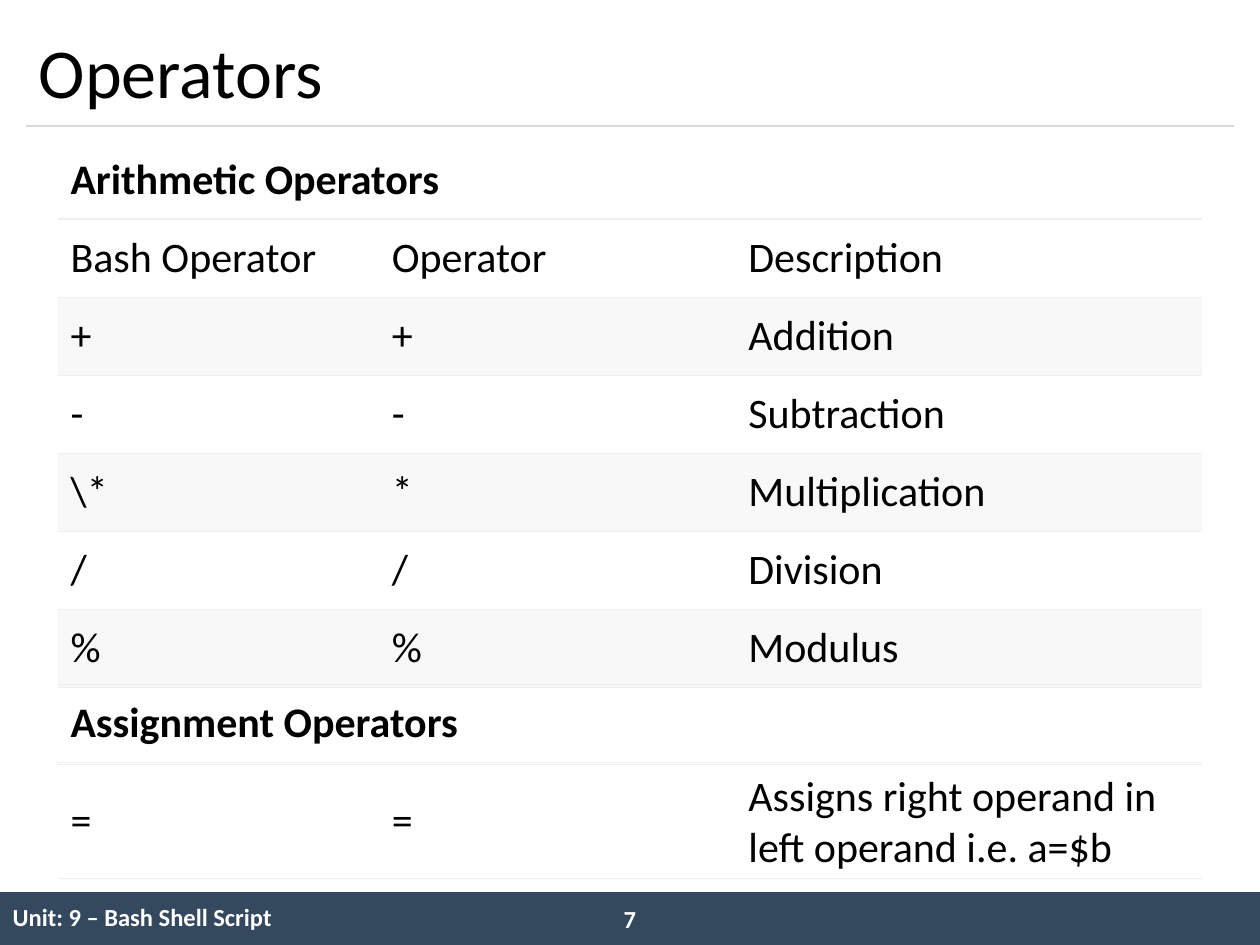
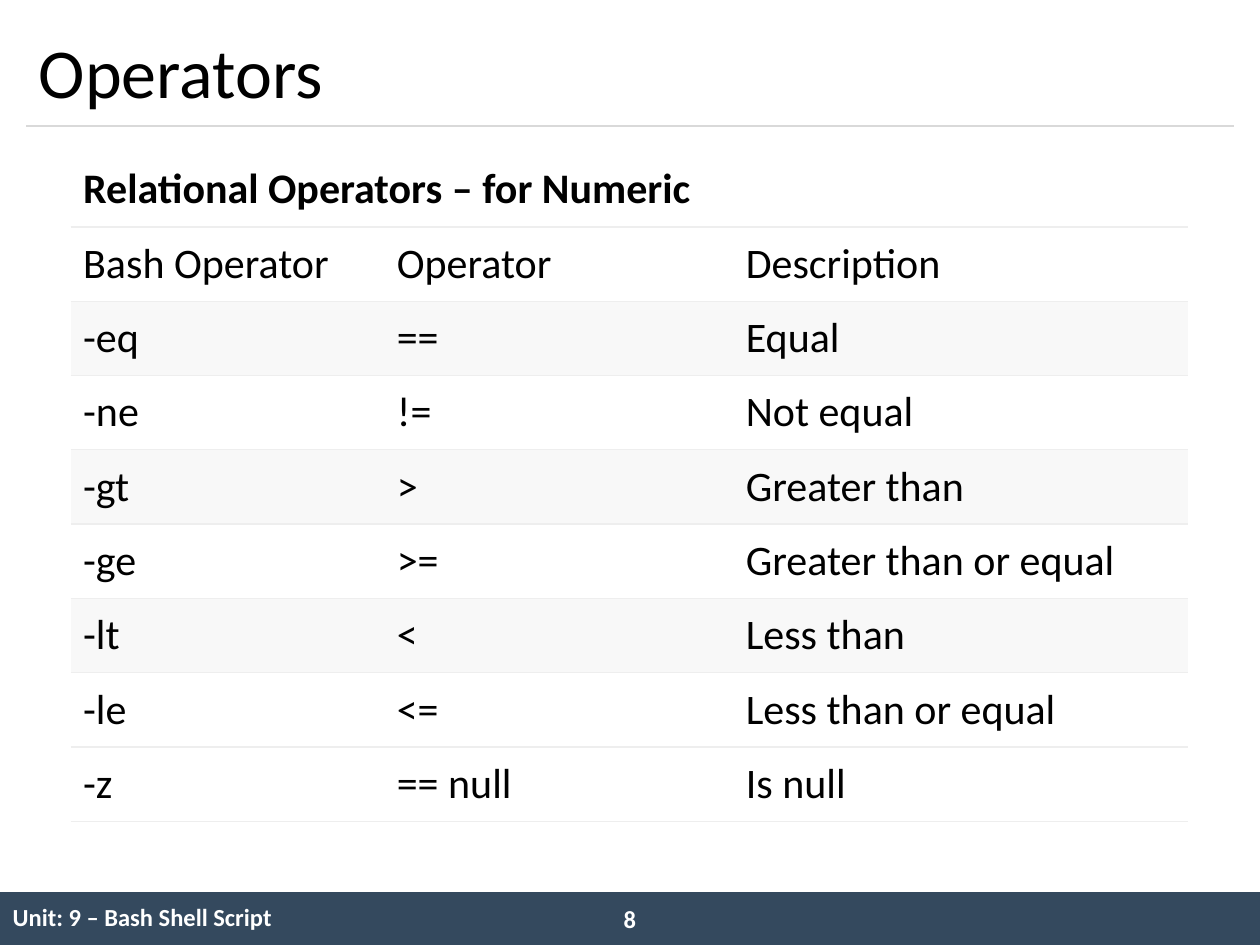
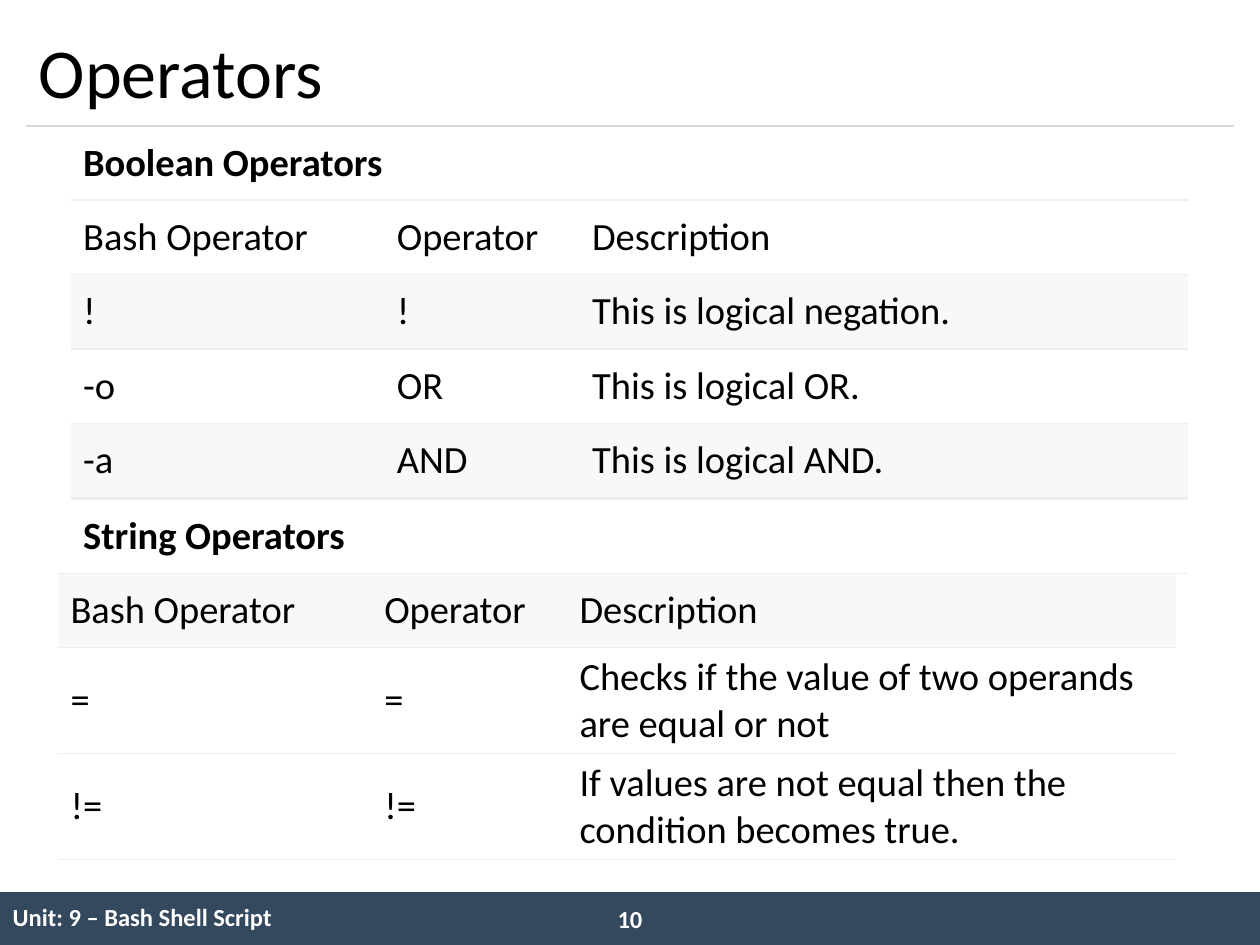
import dataclasses

import lxml.etree
import pptx
import pptx.dml.color
import pptx.enum.shapes
import pptx.enum.text
import pptx.oxml.ns
import pptx.util

Inches, Pt = pptx.util.Inches, pptx.util.Pt
Color = pptx.dml.color.RGBColor.from_string
MIDDLE = pptx.enum.text.MSO_ANCHOR.MIDDLE
CENTER = pptx.enum.text.PP_ALIGN.CENTER
qn = pptx.oxml.ns.qn


@dataclasses.dataclass(frozen=True)
class Theme:
    font: str = "Calibri"
    ink: str = "000000"
    white: str = "FFFFFF"
    bar: str = "34495E"
    rule: str = "D9D9D9"
    edge: str = "EEEEEE"
    band: str = "F8F8F8"
    title: int = 40
    large: int = 24
    body: int = 22
    foot: int = 14
    thin: float = 0.75
    thick: float = 1.5


class Deck:
    def __init__(self, theme):
        self.theme = theme
        self.file = pptx.Presentation()
        self.file.slide_width = Inches(10)
        self.file.slide_height = Inches(7.5)
        self.slide = None

    def page(self, title, number):
        """Start a slide with its footer bar, rule and title."""
        look = self.theme
        self.slide = self.file.slides.add_slide(self.file.slide_layouts[6])
        self.box(0, 7.08, 10, 0.42, look.bar)
        self.table(0, 7.08, [5.08, 0.67, 4.25], [["Unit: 9 – Bash Shell Script", "", ""]],
                   [0.42], look.foot, top=0, low=0, bold=True, color=look.white)
        self.text(4.71, 7.12, 0.58, 0.34, str(number), look.foot, look.white,
                  bold=True, align=CENTER)
        self.line(0.21, 1, 9.79, 1)
        self.text(0.21, 0.12, 9.58, 0.88, title, look.title, look.ink)

    def style(self, para, size, color, bold=False):
        para.font.name = self.theme.font
        para.font.size = Pt(size)
        para.font.bold = bold
        para.font.color.rgb = Color(color)

    def box(self, x, y, wide, high, color):
        kind = pptx.enum.shapes.MSO_SHAPE.RECTANGLE
        shape = self.slide.shapes.add_shape(kind, Inches(x), Inches(y), Inches(wide), Inches(high))
        shape.shadow.inherit = False
        shape.fill.solid()
        shape.fill.fore_color.rgb = Color(color)
        shape.line.fill.background()

    def line(self, x1, y1, x2, y2):
        kind = pptx.enum.shapes.MSO_CONNECTOR.STRAIGHT
        rule = self.slide.shapes.add_connector(kind, Inches(x1), Inches(y1), Inches(x2), Inches(y2))
        rule.line.color.rgb = Color(self.theme.rule)
        rule.line.width = Pt(self.theme.thin)
        lxml.etree.SubElement(rule._element.spPr, qn("a:effectLst"))

    def text(self, x, y, wide, high, words, size, color, bold=False, align=None):
        shape = self.slide.shapes.add_textbox(Inches(x), Inches(y), Inches(wide), Inches(high))
        frame = shape.text_frame
        frame.word_wrap = True
        frame.vertical_anchor = MIDDLE
        para = frame.paragraphs[0]
        para.text = words
        para.alignment = align
        self.style(para, size, color, bold)

    def border(self, cell, side, width):
        """Draw one cell edge; a width of 0 leaves it bare."""
        edge = lxml.etree.SubElement(cell._tc.get_or_add_tcPr(), qn("a:ln" + side))
        if not width:
            lxml.etree.SubElement(edge, qn("a:noFill"))
            return
        edge.set("w", str(Pt(width)))
        fill = lxml.etree.SubElement(edge, qn("a:solidFill"))
        lxml.etree.SubElement(fill, qn("a:srgbClr"), val=self.theme.edge)

    def table(self, x, y, cols, rows, highs, size, top=None, low=None,
              shade=(), bold=False, color=None):
        look = self.theme
        top = look.thin if top is None else top
        low = look.thin if low is None else low
        frame = self.slide.shapes.add_table(len(rows), len(cols), Inches(x), Inches(y),
                                            Inches(sum(cols)), Inches(sum(highs)))
        grid = frame.table
        grid.first_row = grid.horz_banding = False
        for col, wide in zip(grid.columns, cols):
            col.width = Inches(wide)
        for row, high in zip(grid.rows, highs):
            row.height = Inches(high)
        for r, words in enumerate(rows):
            for c, word in enumerate(words):
                cell = grid.cell(r, c)
                cell.text = word
                cell.vertical_anchor = MIDDLE
                self.style(cell.text_frame.paragraphs[0], size, color or look.ink, bold)
                above = look.thin if r else top
                for side, width in zip("LRTB", (0, 0, above, low)):
                    self.border(cell, side, width)
                if r in shade:
                    cell.fill.solid()
                    cell.fill.fore_color.rgb = Color(look.band)
                else:
                    cell.fill.background()

    def head(self, x, y, wide, high, words, size, first=True):
        """Bold caption row; the first on a slide has a thick lower edge."""
        edges = (0, self.theme.thick) if first else (None, None)
        self.table(x, y, [wide], [[words]], [high], size, *edges, bold=True)


def main():
    look = Theme()
    deck = Deck(look)
    names = ["Bash Operator", "Operator", "Description"]

    # Arithmetic and assignment
    deck.page("Operators", 7)
    cols, high = [2.55, 2.83, 3.7], 0.62
    deck.head(0.46, 1.12, sum(cols), high, "Arithmetic Operators", look.large)
    rows = [
        names,
        ["+", "+", "Addition"],
        ["-", "-", "Subtraction"],
        ["\\*", "*", "Multiplication"],
        ["/", "/", "Division"],
        ["%", "%", "Modulus"],
    ]
    deck.table(0.46, 1.74, cols, rows, [high] * len(rows), look.large,
               top=look.thick, shade=(1, 3, 5))
    deck.head(0.46, 5.43, sum(cols), high, "Assignment Operators", look.large, first=False)
    deck.table(0.46, 6.07, cols, [["=", "=", "Assigns right operand in left operand i.e. a=$b"]],
               [0.9], look.large)

    # Relational
    deck.page("Operators", 8)
    cols, high = [2.49, 2.77, 3.61], 0.59
    deck.head(0.56, 1.21, sum(cols), high, "Relational Operators – for Numeric", look.large)
    rows = [
        names,
        ["-eq", "==", "Equal"],
        ["-ne", "!=", "Not equal"],
        ["-gt", ">", "Greater than"],
        ["-ge", ">=", "Greater than or equal"],
        ["-lt", "<", "Less than"],
        ["-le", "<=", "Less than or equal"],
        ["-z", "== null", "Is null"],
    ]
    deck.table(0.56, 1.8, cols, rows, [high] * len(rows), look.large,
               top=look.thick, shade=(1, 3, 5))

    # Boolean and string
    deck.page("Operators", 10)
    cols = [2.49, 1.55, 4.83]
    deck.head(0.56, 1, sum(cols), high, "Boolean Operators", look.body)
    rows = [
        names,
        ["!", "!", "This is logical negation."],
        ["-o", "OR", "This is logical OR."],
        ["-a", "AND", "This is logical AND."],
    ]
    deck.table(0.56, 1.59, cols, rows, [high] * len(rows), look.body,
               top=look.thick, shade=(1, 3))
    deck.head(0.56, 3.96, sum(cols), high, "String Operators", look.body, first=False)
    rows = [
        names,
        ["=", "=", "Checks if the value of two operands are equal or not"],
        ["!=", "!=", "If values are not equal then the condition becomes true."],
    ]
    deck.table(0.46, 4.55, cols, rows, [high, 0.84, 0.84], look.body, shade=(0,))

    deck.file.save("out.pptx")


if __name__ == "__main__":
    main()
